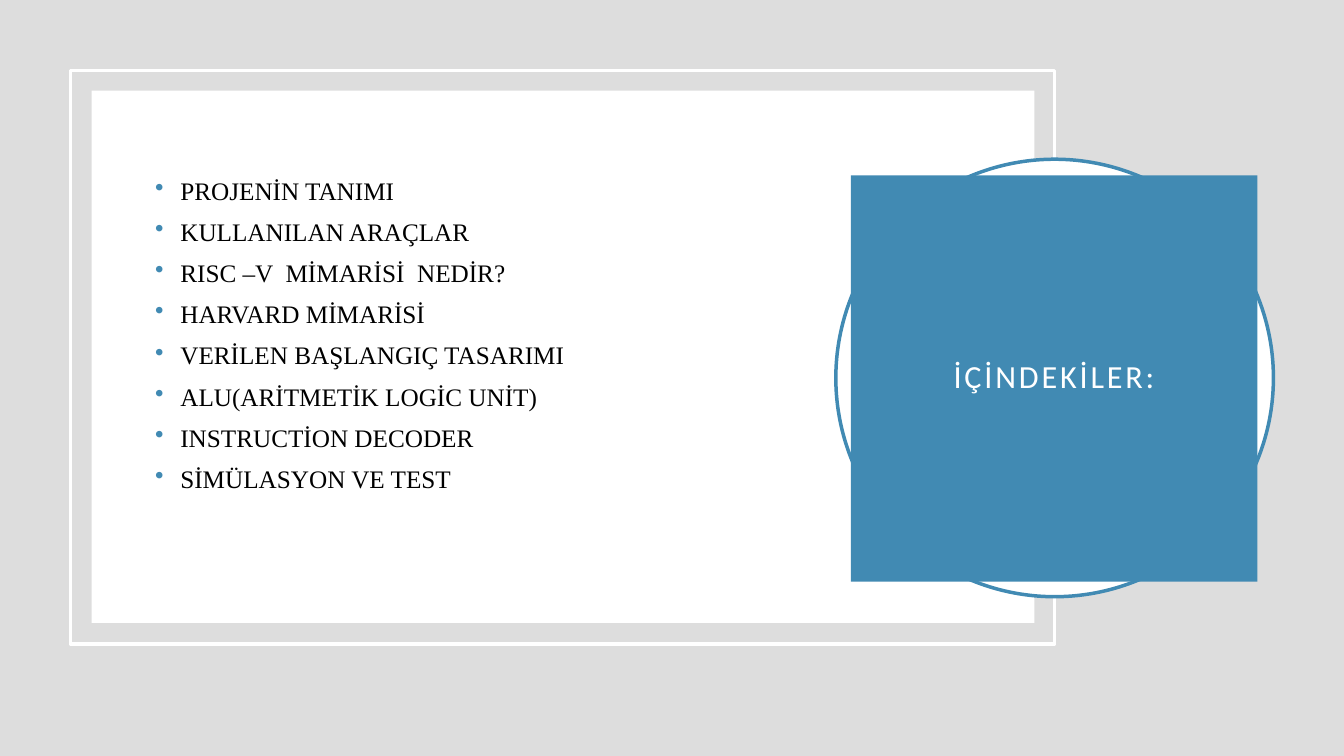
from dataclasses import dataclass

from lxml.etree import SubElement
from pptx import Presentation
from pptx.dml.color import RGBColor
from pptx.enum.shapes import MSO_SHAPE
from pptx.enum.text import MSO_ANCHOR, MSO_AUTO_SIZE, PP_ALIGN
from pptx.oxml.ns import qn
from pptx.slide import Slide
from pptx.text.text import TextFrame, _Paragraph
from pptx.util import Inches, Pt

COLOURS = {
    "background": "DDDDDD",
    "panel": "FFFFFF",
    "accent": "418AB3",
    "text": "000000",
}

TOPICS = [
    "PROJENİN TANIMI",
    "KULLANILAN ARAÇLAR",
    "RISC –V  MİMARİSİ  NEDİR?",
    "HARVARD MİMARİSİ",
    "VERİLEN BAŞLANGIÇ TASARIMI",
    "ALU(ARİTMETİK LOGİC UNİT)",
    "INSTRUCTİON DECODER",
    "SİMÜLASYON VE TEST",
]


@dataclass(frozen=True)
class Panel:
    kind: MSO_SHAPE
    left: float
    top: float
    width: float
    height: float
    fill: str | None = None
    line: str | None = None


PANELS = [
    Panel(MSO_SHAPE.RECTANGLE, 0.7, 0.7, 9.76, 5.69, line="panel"),
    Panel(MSO_SHAPE.RECTANGLE, 0.91, 0.9, 9.35, 5.28, fill="panel"),
    Panel(MSO_SHAPE.OVAL, 8.29, 1.58, 4.34, 4.34, fill="panel", line="accent"),
]


def colour(name: str) -> RGBColor:
    return RGBColor.from_string(COLOURS[name])


def add_panel(page: Slide, panel: Panel) -> None:
    shape = page.shapes.add_shape(
        panel.kind,
        Inches(panel.left),
        Inches(panel.top),
        Inches(panel.width),
        Inches(panel.height),
    )
    shape.shadow.inherit = False
    if panel.fill:
        shape.fill.solid()
        shape.fill.fore_color.rgb = colour(panel.fill)
    else:
        shape.fill.background()
    if panel.line:
        shape.line.color.rgb = colour(panel.line)
        shape.line.width = Pt(2.5)
    else:
        shape.line.fill.background()


def prepare_frame(frame: TextFrame) -> None:
    frame.word_wrap = True
    frame.auto_size = MSO_AUTO_SIZE.NONE
    frame.vertical_anchor = MSO_ANCHOR.MIDDLE


def format_span(para: _Paragraph, font: str, size: float, name: str) -> None:
    span = para.runs[0]
    span.font.name = font
    span.font.size = Pt(size)
    span.font.color.rgb = colour(name)


def add_bullet(para: _Paragraph) -> None:
    """Give the paragraph a hanging accent-coloured bullet."""
    properties = para._p.get_or_add_pPr()
    properties.set("marL", str(Inches(0.25)))
    properties.set("indent", str(Inches(-0.25)))
    bullet_colour = SubElement(properties, qn("a:buClr"))
    SubElement(bullet_colour, qn("a:srgbClr"), val=COLOURS["accent"])
    SubElement(properties, qn("a:buChar"), char="•")


def place_title(page: Slide) -> None:
    title = page.shapes.title
    title.left, title.top = Inches(8.44), Inches(1.74)
    title.width = title.height = Inches(4.03)
    title.fill.solid()
    title.fill.fore_color.rgb = colour("accent")
    frame = title.text_frame
    frame.text = "İÇİNDEKİLER:"
    prepare_frame(frame)
    frame.margin_left = frame.margin_right = Inches(0.2)
    frame.margin_top = frame.margin_bottom = Inches(0.2)
    para = frame.paragraphs[0]
    para.alignment = PP_ALIGN.CENTER
    para.line_spacing = 0.9
    format_span(para, "Calibri", 23, "panel")
    para.runs[0].font._element.set("spc", "200")
    # Bring the title in front of the panels
    page.shapes._spTree.append(title._element)


def add_topics(page: Slide) -> None:
    box = page.shapes.add_textbox(
        Inches(1.44), Inches(1.4), Inches(6.25), Inches(4.28)
    )
    frame = box.text_frame
    frame.text = "\n".join(TOPICS)
    prepare_frame(frame)
    frame.margin_bottom = Inches(0.46)
    for para in frame.paragraphs:
        para.line_spacing = 0.9
        para.space_before = Pt(10)
        add_bullet(para)
        format_span(para, "Times New Roman", 18, "text")


def main() -> None:
    deck = Presentation()
    deck.slide_width, deck.slide_height = Inches(13.33), Inches(7.5)
    page = deck.slides.add_slide(deck.slide_layouts[5])
    page.background.fill.solid()
    page.background.fill.fore_color.rgb = colour("background")
    for panel in PANELS:
        add_panel(page, panel)
    place_title(page)
    add_topics(page)
    deck.save("out.pptx")


if __name__ == "__main__":
    main()
